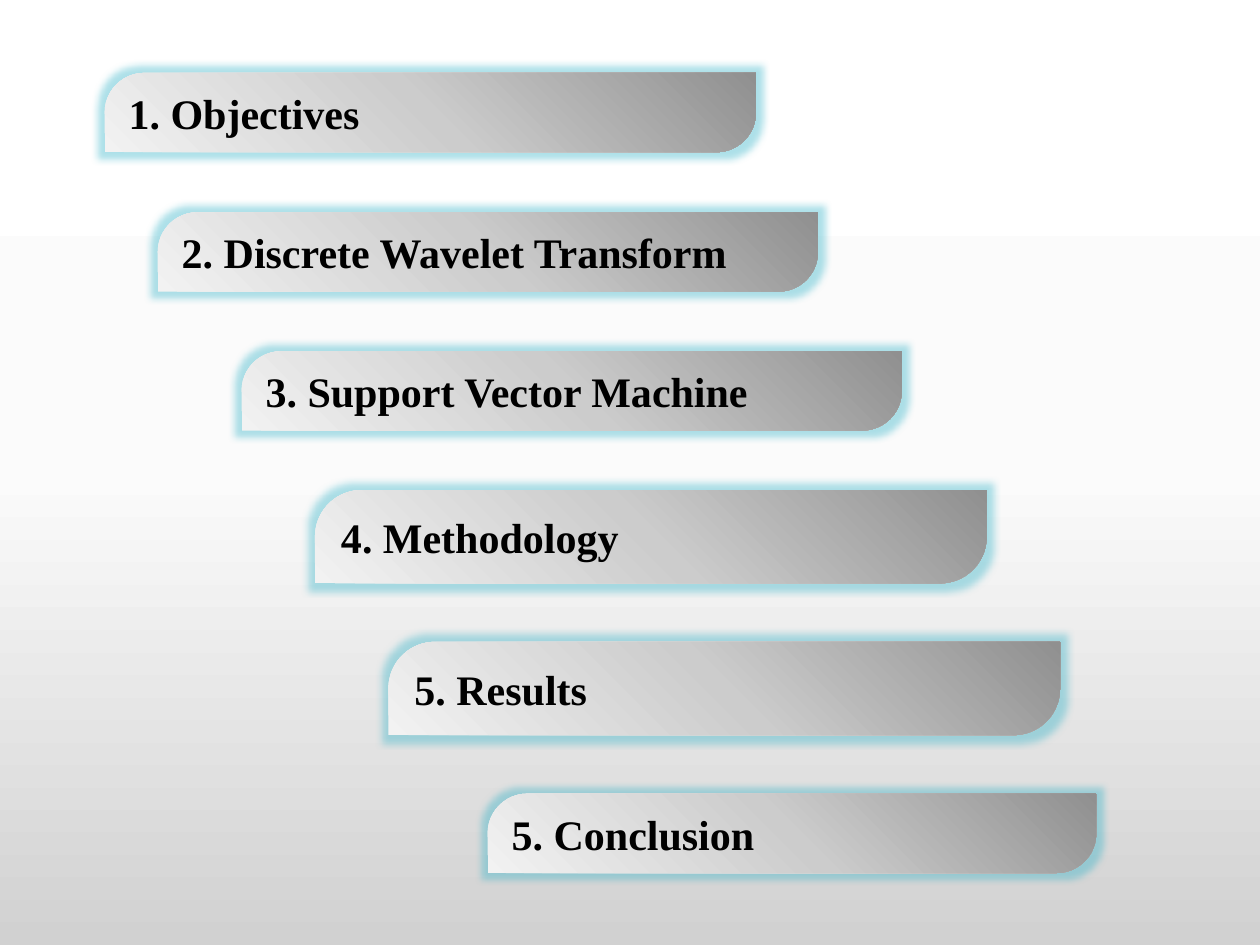
import pptx
import pptx.util
import pptx.dml.color
import pptx.enum.shapes
import pptx.enum.text
import pptx.oxml.ns
from lxml import etree
from pptx.util import Cm

COLORS = {
    "text": "000000",
    "glow": "34B3C8",
    "background": ["FFFFFF", "FBFBFB", "D1D1D1"],
    "bar": ["909090", "CCCCCC", "F2F2F2"],
}
qn = pptx.oxml.ns.qn


def add_color(parent, color):
    return etree.SubElement(parent, qn("a:srgbClr"), val=color)


def apply_gradient(owner, colors, from_corner=False):
    solid = next(owner.iter(qn("a:solidFill")))
    gradient = etree.Element(qn("a:gradFill"), rotWithShape="1")
    stops = etree.SubElement(gradient, qn("a:gsLst"))
    for index, color in enumerate(colors):
        position = str(index * 50000)
        add_color(etree.SubElement(stops, qn("a:gs"), pos=position), color)
    if from_corner:
        circle = etree.SubElement(gradient, qn("a:path"))
        circle.set("path", "circle")
        etree.SubElement(circle, qn("a:fillToRect"), l="100000", b="100000")
    else:
        etree.SubElement(gradient, qn("a:lin"), ang="5400000", scaled="0")
    solid.getparent().replace(solid, gradient)


def add_glow(bar):
    bar.shadow.inherit = False
    effects = next(bar.element.iter(qn("a:effectLst")))
    glow = etree.SubElement(effects, qn("a:glow"), rad=str(pptx.util.Pt(8)))
    etree.SubElement(add_color(glow, COLORS["glow"]), qn("a:alpha"), val="40000")


def paint_background(slide):
    slide.background.fill.solid()
    apply_gradient(slide.element, COLORS["background"])


def add_agenda_bar(slide, topic, alignment, left, top, width, height):
    bar = slide.shapes.add_shape(
        pptx.enum.shapes.MSO_SHAPE.ROUND_2_DIAG_RECTANGLE,
        Cm(left), Cm(top), Cm(width), Cm(height))
    bar.adjustments[0] = 0.5
    bar.adjustments[1] = 0
    bar.fill.solid()
    apply_gradient(bar.element, COLORS["bar"], from_corner=True)
    bar.line.fill.background()
    add_glow(bar)

    bar.text_frame.text = topic
    bar.text_frame.vertical_anchor = pptx.enum.text.MSO_ANCHOR.MIDDLE
    paragraph = bar.text_frame.paragraphs[0]
    paragraph.alignment = alignment
    font = paragraph.runs[0].font
    font.name = "Times New Roman"
    font.size = pptx.util.Pt(24)
    font.bold = True
    font.color.rgb = pptx.dml.color.RGBColor.from_string(COLORS["text"])


def build_agenda(slide, agenda):
    paint_background(slide)
    for topic, alignment, box in agenda:
        add_agenda_bar(slide, topic, alignment, *box)


LEFT = pptx.enum.text.PP_ALIGN.LEFT
JUSTIFY = pptx.enum.text.PP_ALIGN.JUSTIFY
AGENDA = [
    ("1. Objectives", JUSTIFY, (2.11, 1.47, 13.13, 1.6)),
    ("2. Discrete Wavelet Transform", LEFT, (3.18, 4.28, 13.31, 1.6)),
    ("3. Support Vector Machine", LEFT, (4.87, 7.08, 13.31, 1.6)),
    ("4. Methodology", LEFT, (6.35, 9.88, 13.54, 1.88)),
    ("5. Results", LEFT, (7.83, 12.94, 13.54, 1.88)),
    ("5. Conclusion", LEFT, (9.83, 16.0, 12.27, 1.6)),
]

presentation = pptx.Presentation()
presentation.slide_width = Cm(25.4)
presentation.slide_height = Cm(19.05)
agenda_slide = presentation.slides.add_slide(presentation.slide_layouts[6])
build_agenda(agenda_slide, AGENDA)
presentation.save("out.pptx")
